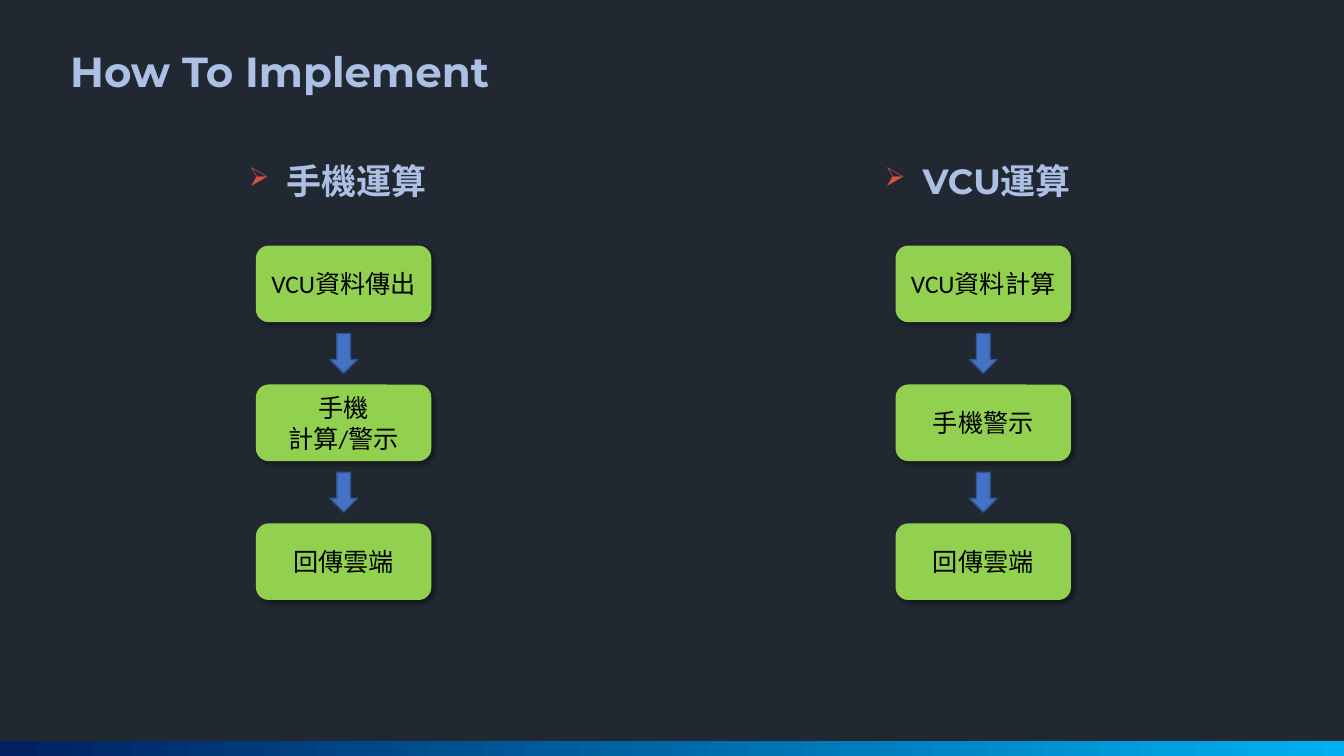
from dataclasses import dataclass

import pptx
import pptx.dml.color
import pptx.enum.shapes
import pptx.enum.text
import pptx.oxml
import pptx.oxml.ns
import pptx.util
from pptx.util import Cm

SHAPE = pptx.enum.shapes.MSO_SHAPE
NAMESPACE = pptx.oxml.ns.nsdecls("a")


@dataclass(frozen=True)
class Theme:
    background: str = "222831"
    heading: str = "ABC0E4"
    bullet: str = "D75244"
    step: str = "92D050"
    step_text: str = "000000"
    arrow: str = "4472C4"
    arrow_line: str = "325491"
    band_start: str = "002060"
    band_end: str = "00B0F0"
    heading_font: str = "Montserrat"
    step_font: str = "Calibri"
    title_size: int = 30
    heading_size: int = 25
    step_size: int = 18


THEME = Theme()

# Flow geometry
STEP_WIDTH, STEP_HEIGHT = Cm(4.42), Cm(1.93)
FIRST_STEP_TOP, STEP_PITCH = Cm(6.19), Cm(3.5)
ARROW_LENGTH, ARROW_THICKNESS = Cm(1), Cm(0.69)

# Heading, heading left, heading width, steps left, steps (one list of lines each)
FLOWS = [
    ("手機運算", Cm(6.02), Cm(5.11), Cm(6.45),
     [["VCU資料傳出"], ["手機", "計算/警示"], ["回傳雲端"]]),
    ("VCU運算", Cm(22.05), Cm(5.49), Cm(22.57),
     [["VCU資料計算"], ["手機警示"], ["回傳雲端"]]),
]


def rgb(value):
    return pptx.dml.color.RGBColor.from_string(value)


def set_font(paragraph, name, size, color, bold=False):
    font = paragraph.font
    font.name, font.size, font.bold = name, pptx.util.Pt(size), bold
    font.color.rgb = rgb(color)


def add_heading(slide, text, left, top, width, height, size, wrap):
    heading = slide.shapes.add_textbox(left, top, width, height)
    frame = heading.text_frame
    frame.word_wrap = wrap
    frame.auto_size = pptx.enum.text.MSO_AUTO_SIZE.SHAPE_TO_FIT_TEXT
    paragraph = frame.paragraphs[0]
    paragraph.text = text
    return paragraph


def add_bullet(paragraph):
    properties = paragraph._p.get_or_add_pPr()
    properties.set("marL", str(Cm(0.95)))
    properties.set("indent", str(-Cm(0.95)))
    for element in (
        f'<a:buClr {NAMESPACE}><a:srgbClr val="{THEME.bullet}"/></a:buClr>',
        f'<a:buSzPct {NAMESPACE} val="75000"/>',
        f'<a:buChar {NAMESPACE} char="➢"/>',
    ):
        properties.append(pptx.oxml.parse_xml(element))


def add_shadow(shape):
    shape.shadow.inherit = False
    effects = shape._element.spPr.find(pptx.oxml.ns.qn("a:effectLst"))
    effects.append(pptx.oxml.parse_xml(
        f'<a:outerShdw {NAMESPACE} blurRad="{pptx.util.Pt(4)}" '
        f'dist="{pptx.util.Pt(3)}" dir="2700000" algn="tl" rotWithShape="0">'
        '<a:srgbClr val="000000"><a:alpha val="40000"/></a:srgbClr>'
        '</a:outerShdw>'))


def add_step(flow, lines, left, top):
    step = flow.shapes.add_shape(
        SHAPE.ROUNDED_RECTANGLE, left, top, STEP_WIDTH, STEP_HEIGHT)
    step.fill.solid()
    step.fill.fore_color.rgb = rgb(THEME.step)
    step.line.fill.background()
    add_shadow(step)
    frame = step.text_frame
    frame.word_wrap = True
    frame.vertical_anchor = pptx.enum.text.MSO_ANCHOR.MIDDLE
    frame.text = "\n".join(lines)
    for paragraph in frame.paragraphs:
        paragraph.alignment = pptx.enum.text.PP_ALIGN.CENTER
        set_font(paragraph, THEME.step_font, THEME.step_size, THEME.step_text)


def add_arrow(flow, center_x, center_y):
    arrow = flow.shapes.add_shape(
        SHAPE.RIGHT_ARROW, center_x - ARROW_LENGTH // 2,
        center_y - ARROW_THICKNESS // 2, ARROW_LENGTH, ARROW_THICKNESS)
    arrow.rotation = 90
    arrow.shadow.inherit = False
    arrow.fill.solid()
    arrow.fill.fore_color.rgb = rgb(THEME.arrow)
    arrow.line.color.rgb = rgb(THEME.arrow_line)
    arrow.line.width = pptx.util.Pt(1)


def add_flow(slide, steps, left):
    flow = slide.shapes.add_group_shape()
    for index, lines in enumerate(steps):
        top = FIRST_STEP_TOP + index * STEP_PITCH
        add_step(flow, lines, left, top)
        if index:
            gap_middle = top - (STEP_PITCH - STEP_HEIGHT) // 2
            add_arrow(flow, left + STEP_WIDTH // 2, gap_middle)


def add_band(slide, width, bottom):
    height = Cm(0.38)
    band = slide.shapes.add_shape(
        SHAPE.RECTANGLE, 0, bottom - height, width, height)
    band.shadow.inherit = False
    band.line.fill.background()
    band.fill.gradient()
    band.fill.gradient_angle = 0
    for stop, color in zip(band.fill.gradient_stops,
                           (THEME.band_start, THEME.band_end)):
        stop.color.rgb = rgb(color)


def main():
    presentation = pptx.Presentation()
    presentation.slide_width = Cm(33.87)
    presentation.slide_height = Cm(19.05)
    slide = presentation.slides.add_slide(presentation.slide_layouts[6])

    # Background and bottom band
    slide.background.fill.solid()
    slide.background.fill.fore_color.rgb = rgb(THEME.background)
    add_band(slide, presentation.slide_width, presentation.slide_height)

    # Title
    title = add_heading(slide, "How To Implement", Cm(1.52), Cm(1.02),
                        Cm(11.81), Cm(1.54), THEME.title_size, wrap=False)
    set_font(title, THEME.heading_font, THEME.title_size, THEME.heading, True)

    # The two flows, each under its heading
    for text, heading_left, heading_width, steps_left, steps in FLOWS:
        heading = add_heading(slide, text, heading_left, Cm(3.89),
                              heading_width, Cm(1.32), THEME.heading_size,
                              wrap=True)
        add_bullet(heading)
        set_font(heading, THEME.heading_font, THEME.heading_size,
                 THEME.heading, True)
        add_flow(slide, steps, steps_left)

    presentation.save("out.pptx")


if __name__ == "__main__":
    main()
